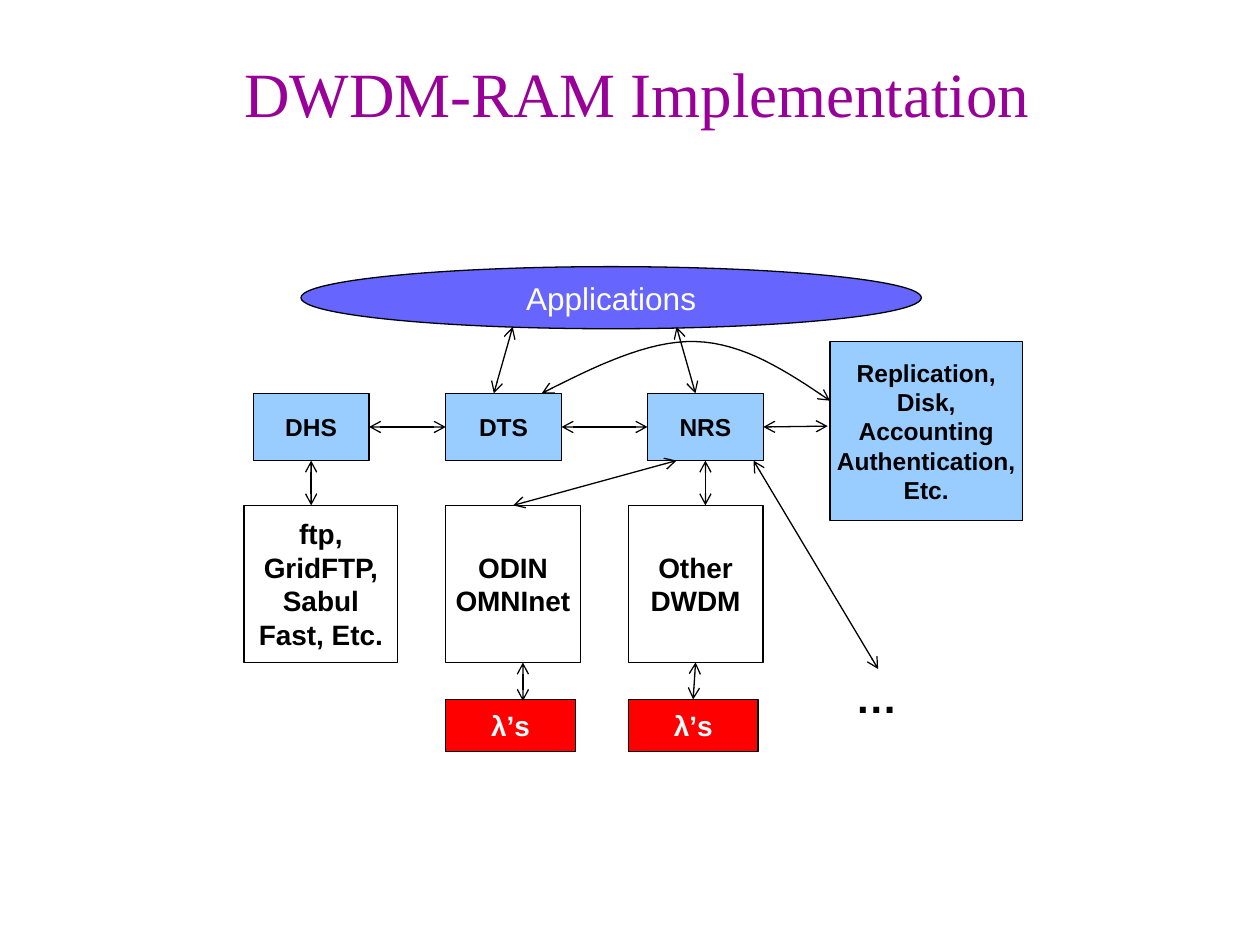
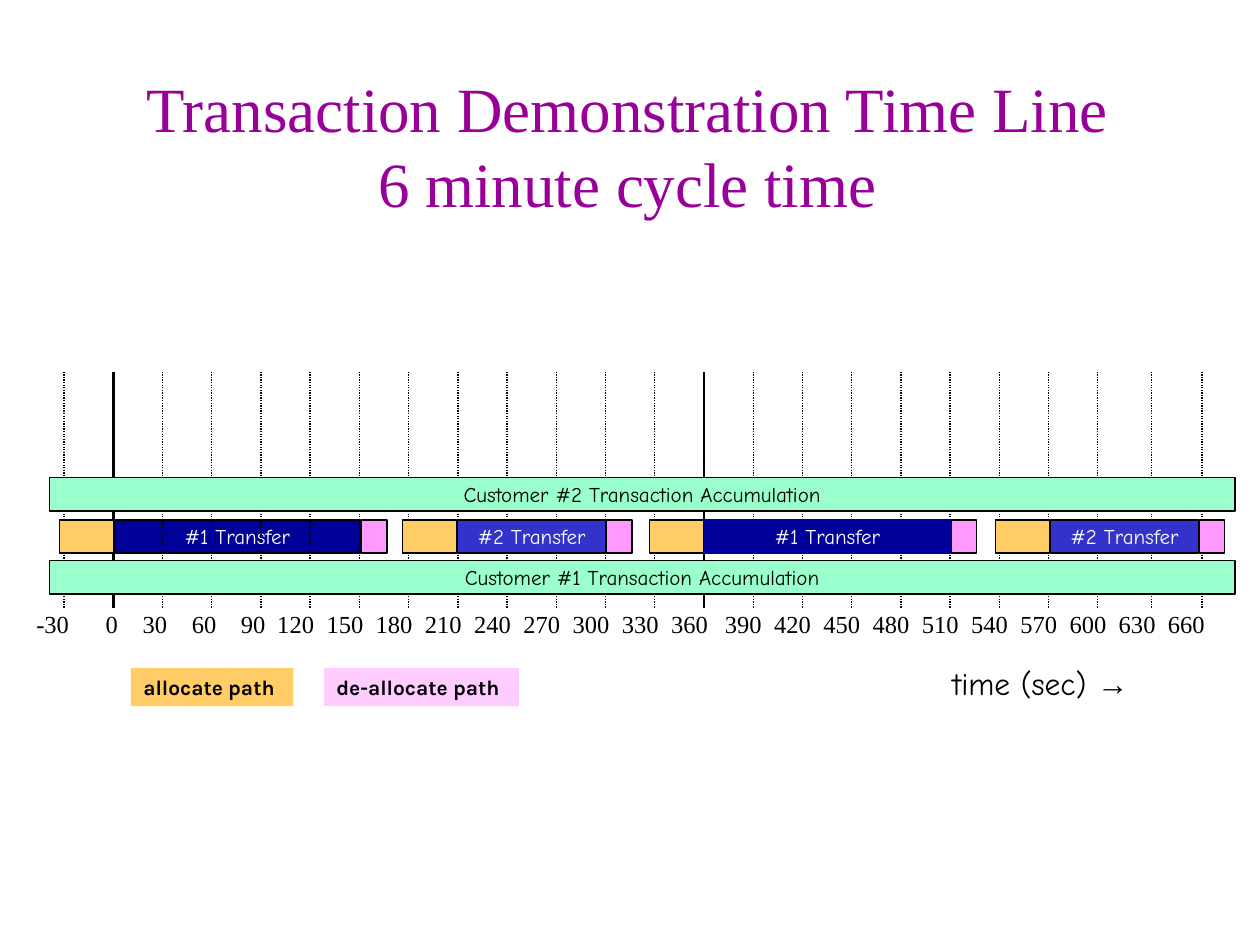
from lxml import etree
from pptx import Presentation
from pptx.dml.color import RGBColor
from pptx.enum import dml, shapes, text
from pptx.oxml.ns import qn
from pptx.util import Pt

BLACK = RGBColor(0x00, 0x00, 0x00)
WHITE = RGBColor(0xFF, 0xFF, 0xFF)
PURPLE = RGBColor(0x99, 0x00, 0x99)
VIOLET = RGBColor(0x66, 0x66, 0xFF)
SKY = RGBColor(0x99, 0xCC, 0xFF)
RED = RGBColor(0xFF, 0x00, 0x00)
MINT = RGBColor(0x99, 0xFF, 0xCC)
AMBER = RGBColor(0xFF, 0xCC, 0x66)
PINK = RGBColor(0xFF, 0x99, 0xFF)
ROSE = RGBColor(0xFF, 0xCC, 0xFF)
NAVY = RGBColor(0x00, 0x00, 0x99)
BLUE = RGBColor(0x33, 0x33, 0xCC)

SERIF, SANS, COMIC, KARLA = "Times New Roman", "Arial", "Comic Neue", "Karla"
RECT, OVAL = shapes.MSO_SHAPE.RECTANGLE, shapes.MSO_SHAPE.OVAL
LEFT, MID = text.PP_ALIGN.LEFT, text.PP_ALIGN.CENTER
TOP, CENTER = text.MSO_ANCHOR.TOP, text.MSO_ANCHOR.MIDDLE
UP, WEST, DOWN, EAST = range(4)


class Deck:
    def __init__(self):
        self.prs = Presentation()
        self.prs.slide_width, self.prs.slide_height = Pt(720), Pt(540)

    def page(self):
        self.shapes = self.prs.slides.add_slide(self.prs.slide_layouts[6]).shapes

    def letter(self, shape, words, size, font, color=BLACK, bold=False,
               align=LEFT, anchor=TOP, wrap=False):
        frame = shape.text_frame
        frame.text = words
        frame.word_wrap = wrap
        frame.vertical_anchor = anchor
        for para in frame.paragraphs:
            para.alignment = align
            for run in para.runs:
                run.font.size, run.font.name = Pt(size), font
                run.font.bold, run.font.color.rgb = bold, color

    def label(self, x, y, w, h, words, size, font, **look):
        box = self.shapes.add_textbox(Pt(x), Pt(y), Pt(w), Pt(h))
        self.letter(box, words, size, font, **look)
        return box

    def title(self, x, y, w, h, words):
        self.label(x, y, w, h, words, 36, SERIF, color=PURPLE, align=MID, wrap=True)

    def box(self, x, y, w, h, fill, edge=BLACK, kind=RECT):
        box = self.shapes.add_shape(kind, Pt(x), Pt(y), Pt(w), Pt(h))
        box.shadow.inherit = False
        box.fill.solid()
        box.fill.fore_color.rgb = fill
        if edge is None:
            box.line.fill.background()
        else:
            self.ink(box.line, edge)
        return box

    def node(self, x, y, w, h, fill, words, size, color=BLACK, font=SANS,
             bold=True, **look):
        box = self.box(x, y, w, h, fill, **look)
        self.letter(box, words, size, font, color, bold, MID, CENTER)
        return box

    def ink(self, line, color=BLACK, width=0.75):
        line.color.rgb = color
        line.width = Pt(width)

    def tips(self, shape):
        """Put an open arrowhead on both ends of a line."""
        stroke = shape._element.spPr.find(qn("a:ln"))
        for end in ("a:headEnd", "a:tailEnd"):
            etree.SubElement(stroke, qn(end), type="arrow")

    def rule(self, x1, y1, x2, y2, width=0.75):
        rule = self.shapes.add_connector(
            shapes.MSO_CONNECTOR.STRAIGHT, Pt(x1), Pt(y1), Pt(x2), Pt(y2))
        self.ink(rule.line, width=width)
        etree.SubElement(rule._element.spPr, qn("a:effectLst"))
        return rule

    def arrow(self, start, end):
        """Each end is an (x, y) point or a (box, side) joint."""
        free = [isinstance(e[0], (int, float)) for e in (start, end)]
        ends = [e if loose else (0, 0) for e, loose in zip((start, end), free)]
        arrow = self.rule(*ends[0], *ends[1])
        self.tips(arrow)
        if not free[0]:
            arrow.begin_connect(*start)
        if not free[1]:
            arrow.end_connect(*end)

    def curve(self, start, *bends, steps=16):
        """Draw cubic bends, each given as two control points and an end."""
        dots, here = [], start
        for c1, c2, end in bends:
            for i in range(1, steps + 1):
                t = i / steps
                s = 1 - t
                dots.append(tuple(
                    Pt(s**3 * a + 3 * s * s * t * b + 3 * s * t * t * c + t**3 * d)
                    for a, b, c, d in zip(here, c1, c2, end)))
            here = end
        outline = self.shapes.build_freeform(Pt(start[0]), Pt(start[1]))
        outline.add_line_segments(dots, close=False)
        curve = outline.convert_to_shape()
        curve.shadow.inherit = False
        curve.fill.background()
        self.ink(curve.line)
        self.tips(curve)

    def tabs(self, box, stops):
        """Set centred tab stops, in points from the text edge."""
        props = box.text_frame.paragraphs[0]._p.get_or_add_pPr()
        group = etree.SubElement(props, qn("a:tabLst"))
        for stop in stops:
            etree.SubElement(group, qn("a:tab"), pos=str(Pt(stop)), algn="ctr")


def design(deck):
    deck.page()
    deck.title(75, 27.4, 578, 78, "DWDM-RAM Implementation")
    deck.node(172, 152.4, 354.5, 35.5, VIOLET, "Applications", 18, WHITE,
              bold=False, kind=OVAL)

    dhs, dts, nrs = [deck.node(x, 224.8, 66.2, 38.4, SKY, name, 14)
                     for x, name in ((144.7, "DHS"), (254.7, "DTS"), (370, "NRS"))]
    deck.node(474.3, 195.2, 110, 102.3, SKY,
              "Replication,\nDisk,\nAccounting\nAuthentication,\nEtc.", 14)
    _, odin, other = [
        deck.node(x, 288.8, w, 89.7, WHITE, words, 16)
        for x, w, words in ((139.4, 88, "ftp,\nGridFTP,\nSabul\nFast, Etc."),
                            (254.7, 77, "ODIN\nOMNInet"),
                            (359, 77, "Other\nDWDM"))]
    _, wave = [deck.node(x, 399.7, 74.2, 29.7, RED, "λ’s", 16, WHITE)
               for x in (254.7, 359)]
    deck.label(481.7, 380.2, 20.2, 36, "…", 24, SANS, bold=True, wrap=True)

    for start, end in (
            ((293, 186.8), (282.2, 224.8)),
            ((386.6, 186.8), (397.4, 224.8)),
            ((dhs, EAST), (dts, WEST)),
            ((dts, EAST), (nrs, WEST)),
            ((nrs, EAST), (473, 243.5)),
            ((dhs, DOWN), (177.8, 288.8)),
            ((386.6, 263.2), (odin, UP)),
            ((nrs, DOWN), (403.1, 288.8)),
            ((430.6, 263.2), (501.8, 382.3)),
            ((298.8, 378.6), (298.8, 400.6)),
            ((other, DOWN), (wave, UP))):
        deck.arrow(start, end)
    deck.curve((309.6, 224.8),
               ((340, 209.5), (370, 194.5), (397.4, 195.2)),
               ((424.8, 195.9), (450, 212.4), (474.3, 229)))


def cycle(deck, x, span, name, fill, edge=BLACK):
    """One transfer with its path allocation before and release after."""
    start, y, h = x + 31.5, 297.1, 19
    deck.box(x, y, 31, h, AMBER)
    deck.box(start + span + 0.5, y, 14.6, h, PINK)
    deck.node(start, y, span, h, fill, name, 12, WHITE, COMIC, False, edge=edge)


def timeline(deck):
    deck.page()
    step = 28.13
    grid = [36.6 + step * i for i in range(22)] + [658.1, 686.9]

    def ticks(first, last):
        for i in range(first, last):
            bold = i in (1, 13)
            tick = deck.rule(grid[i], 212.4, grid[i], 347.6, 1.5 if bold else 0.75)
            if not bold:
                tick.line.dash_style = dml.MSO_LINE.ROUND_DOT

    ticks(0, 2)
    cycle(deck, 33.9, 140.6, "#1 Transfer", NAVY)
    ticks(2, len(grid))

    for y, who in ((320.5, 1), (273, 2)):
        deck.node(28.2, y, 677.5, 19, MINT, f"Customer #{who} Transaction Accumulation",
                  12, font=COMIC, bold=False)
    cycle(deck, 371, 140.6, "#1 Transfer", NAVY, NAVY)
    for x in (230, 568.8):
        cycle(deck, x, 84.5, "#2 Transfer", BLUE)

    edge = 13.7 + 7.2
    stops = [start + step * i - edge
             for start, count in ((64, 1), (88.6, 3), (169.1, 9), (424.9, 10))
             for i in range(count)]
    scale = deck.label(13.7, 344.2, 690, 24.5,
                       "\t".join(str(sec) for sec in range(-30, 661, 30)),
                       14, SERIF, wrap=True)
    deck.tabs(scale, stops)

    for x, w, fill, words in ((74.8, 92.9, AMBER, "allocate path"),
                              (185.1, 111.5, ROSE, "de-allocate path")):
        key = deck.box(x, 381.8, w, 21.8, fill, None)
        deck.letter(key, words, 12, KARLA, bold=True)

    unit = deck.label(537.1, 375.8, 115.2, 28.8, "time (sec) ", 18, COMIC)
    arrow = unit.text_frame.paragraphs[0].add_run()
    arrow.text = "→"
    arrow.font.size, arrow.font.name = Pt(18), SANS
    arrow.font.color.rgb = BLACK
    deck.title(34.6, 36, 648, 41, "Transaction Demonstration Time Line\v6 minute cycle time")


def main():
    deck = Deck()
    design(deck)
    timeline(deck)
    deck.prs.save("out.pptx")


if __name__ == "__main__":
    main()
